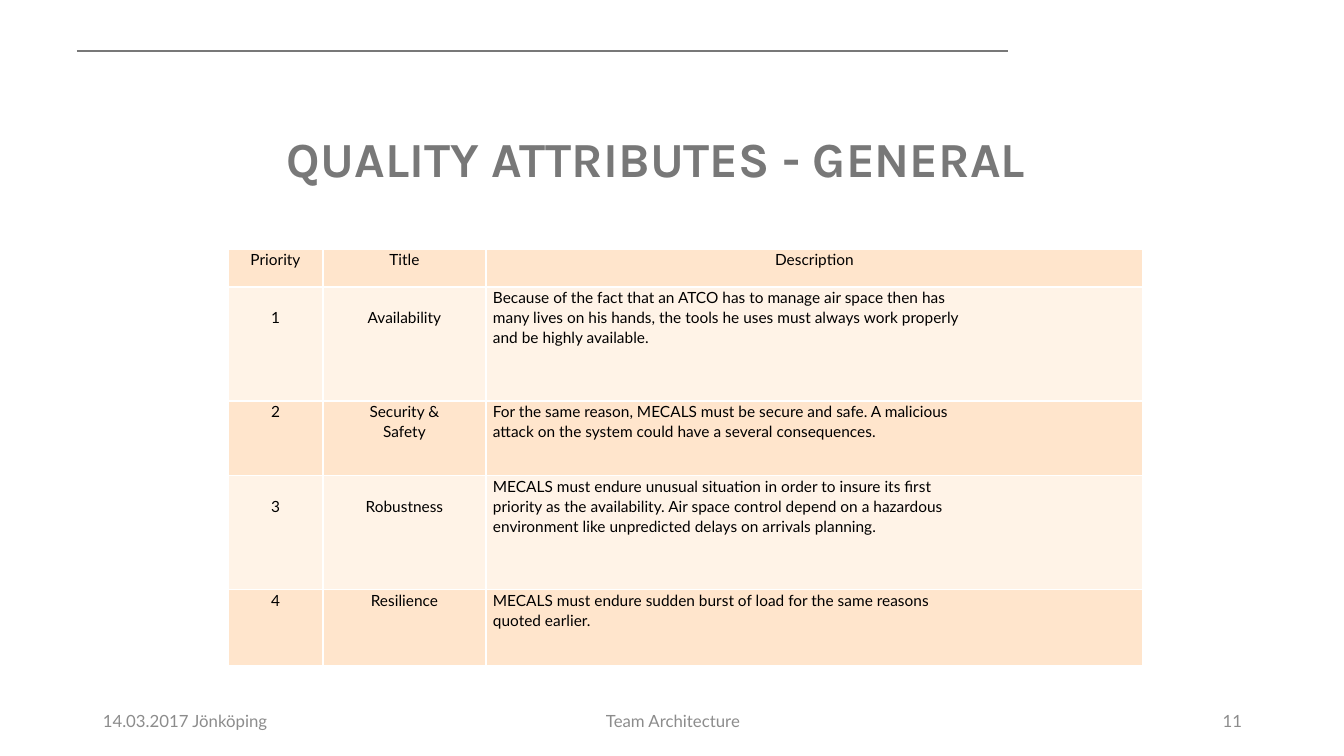
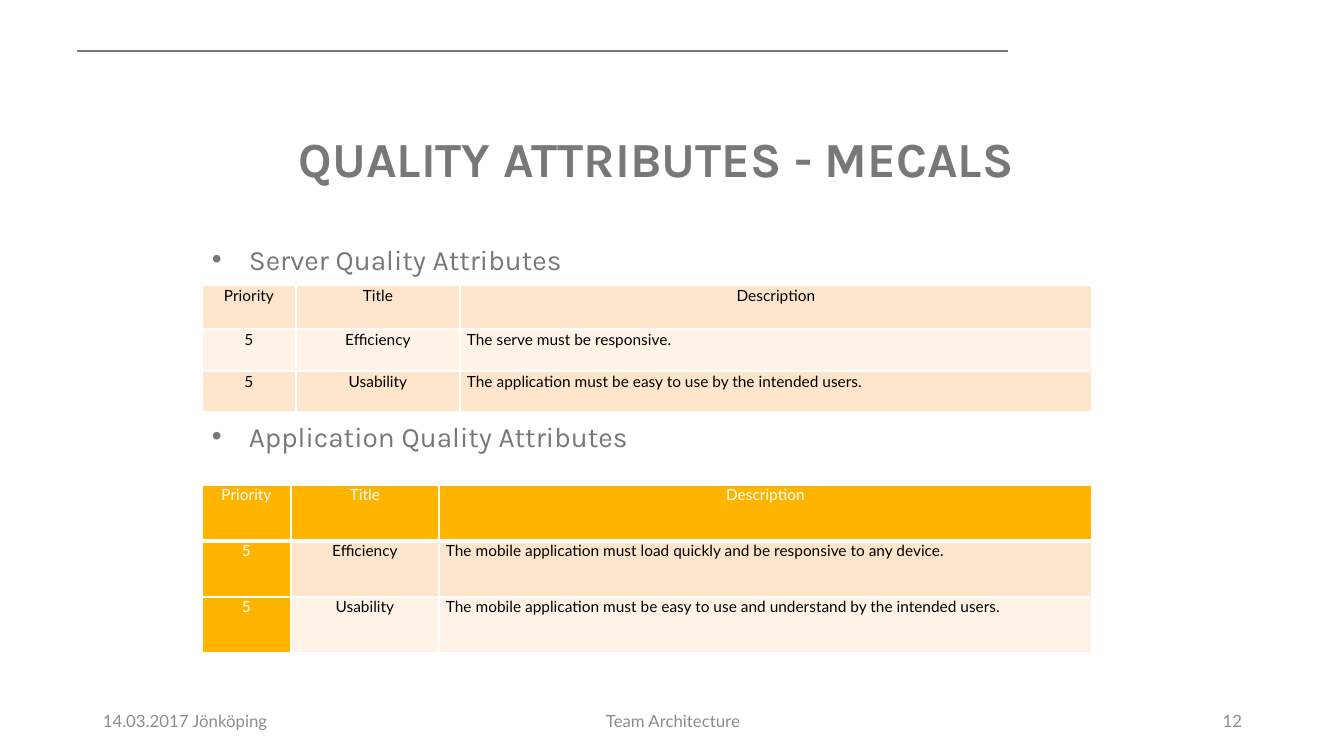
import pptx
import pptx.dml.color
import pptx.enum.shapes
import pptx.enum.text
import pptx.oxml
import pptx.oxml.ns
import pptx.util

SCALE = 914400 / 100.8
COLORS = {
    "gray": "787878",
    "footer": "8C8C8C",
    "black": "000000",
    "white": "FFFFFF",
    "peach": "FFE5CC",
    "cream": "FFF3E7",
    "gold": "FFB500",
}
LEFT = pptx.enum.text.PP_ALIGN.LEFT
CENTER = pptx.enum.text.PP_ALIGN.CENTER
RIGHT = pptx.enum.text.PP_ALIGN.RIGHT
HEADER = ("Priority", "Title", "Description")


def px(length):
    return pptx.util.Emu(round(length * SCALE))


def rgb(name):
    return pptx.dml.color.RGBColor.from_string(COLORS[name])


def add_xml(parent, tag, **attributes):
    child = pptx.oxml.parse_xml(f"<{tag} {pptx.oxml.ns.nsdecls('a')}/>")
    for name, value in attributes.items():
        child.set(name, str(value))
    parent.append(child)
    return child


class SlideWriter:
    heading_font = "Karla"
    body_font = "Lato"

    def __init__(self, deck):
        self.deck = deck
        self.slide = None

    def start(self, title, number):
        self.slide = self.deck.slides.add_slide(self.deck.slide_layouts[6])
        self.rule(77, 51, 1008)
        self.text(62, 130, 1189, 84, title, 35, "gray", CENTER,
                  font=self.heading_font, bold=True, spacing=0.9)
        footers = (
            (93, 302, "14.03.2017 Jönköping", LEFT),
            (446, 454, "Team Architecture", CENTER),
            (950, 302, str(number), RIGHT),
        )
        for left, width, words, align in footers:
            box = self.text(left, 701, width, 40, words, 12, "footer", align)
            box.text_frame.vertical_anchor = pptx.enum.text.MSO_ANCHOR.MIDDLE

    def rule(self, left, top, right):
        line = self.slide.shapes.add_connector(
            pptx.enum.shapes.MSO_CONNECTOR.STRAIGHT, px(left), px(top), px(right), px(top))
        line.line.color.rgb = rgb("gray")
        line.line.width = pptx.util.Pt(0.75)
        add_xml(line._element.spPr, "a:effectLst")

    def text(self, left, top, width, height, words, size, color, align,
             font=body_font, bold=False, spacing=1.0):
        box = self.slide.shapes.add_textbox(px(left), px(top), px(width), px(height))
        box.text_frame.word_wrap = True
        self.fill_frame(box.text_frame, words, size, color, align, font, bold, spacing)
        return box

    def fill_frame(self, frame, words, size, color, align, font, bold, spacing):
        for index, line in enumerate(words.split("\n")):
            para = frame.add_paragraph() if index else frame.paragraphs[0]
            para.alignment = align
            para.line_spacing = spacing
            span = para.add_run()
            span.text = line
            span.font.name = font
            span.font.size = pptx.util.Pt(size)
            span.font.bold = bold
            span.font.color.rgb = rgb(color)

    def bullet(self, left, top, words):
        box = self.text(left, top, 724, 40, words, 20, "gray", LEFT,
                        font=self.heading_font, spacing=0.9)
        properties = box.text_frame.paragraphs[0]._p.get_or_add_pPr()
        indent = px(37)
        properties.set("marL", str(indent))
        properties.set("indent", str(-indent))
        add_xml(properties, "a:buFont", typeface="Arial")
        add_xml(properties, "a:buChar", char="•")

    def table(self, left, top, columns, heights, rows, accent=False, lowered=()):
        frame = self.slide.shapes.add_table(
            len(rows), len(columns), px(left), px(top), px(sum(columns)), px(sum(heights)))
        table = frame.table
        table.first_row = False
        table.horz_banding = False
        for column, width in zip(table.columns, columns):
            column.width = px(width)
        for row, height in zip(table.rows, heights):
            row.height = px(height)
        for row_index, row in enumerate(rows):
            for column_index, words in enumerate(row):
                cell = table.cell(row_index, column_index)
                head = row_index == 0
                golden = accent and (head or column_index == 0)
                band = "peach" if row_index % 2 == int(accent) else "cream"
                self.borders(cell, 3 if accent and head else 1)
                cell.fill.solid()
                cell.fill.fore_color.rgb = rgb("gold" if golden else band)
                cell.margin_left = cell.margin_right = px(7)
                cell.margin_bottom = 0
                centered = head or column_index < 2
                cell.margin_top = px(20) if row_index in lowered and centered else 0
                self.fill_frame(cell.text_frame, words, 11,
                                "white" if golden else "black",
                                CENTER if centered else LEFT,
                                self.body_font, False, 1.0 if accent else 1.07)

    def borders(self, cell, bottom):
        properties = cell._tc.get_or_add_tcPr()
        for side, points in (("L", 1), ("R", 1), ("T", 1), ("B", bottom)):
            line = add_xml(properties, f"a:ln{side}", w=pptx.util.Pt(points))
            add_xml(add_xml(line, "a:solidFill"), "a:srgbClr", val=COLORS["white"])


def main():
    deck = pptx.Presentation()
    deck.slide_width = px(1344)
    deck.slide_height = px(756)
    writer = SlideWriter(deck)

    writer.start("QUALITY ATTRIBUTES - GENERAL", 11)
    writer.table(228, 249, (95, 163, 657), (38, 114, 75, 114, 76), (
        HEADER,
        ("1", "Availability",
         "Because of the fact that an ATCO has to manage air space then has\n"
         "many lives on his hands, the tools he uses must always work properly\n"
         "and be highly available."),
        ("2", "Security &\nSafety",
         "For the same reason, MECALS must be secure and safe. A malicious\n"
         "attack on the system could have a several consequences."),
        ("3", "Robustness",
         "MECALS must endure unusual situation in order to insure its first\n"
         "priority as the availability. Air space control depend on a hazardous\n"
         "environment like unpredicted delays on arrivals planning."),
        ("4", "Resilience",
         "MECALS must endure sudden burst of load for the same reasons\n"
         "quoted earlier."),
    ), lowered=(1, 3))

    writer.start("QUALITY ATTRIBUTES - MECALS", 12)
    writer.bullet(202, 241, "Server Quality Attributes")
    writer.table(202, 285, (94, 164, 632), (44, 42, 41), (
        HEADER,
        ("5", "Efficiency", "The serve must be responsive."),
        ("5", "Usability", "The application must be easy to use by the intended users."),
    ))
    writer.bullet(202, 418, "Application Quality Attributes")
    writer.table(202, 485, (89, 148, 653), (56, 56, 56), (
        HEADER,
        ("5", "Efficiency",
         "The mobile application must load quickly and be responsive to any device."),
        ("5", "Usability",
         "The mobile application must be easy to use and understand by the intended users."),
    ), accent=True)

    deck.save("out.pptx")


if __name__ == "__main__":
    main()
